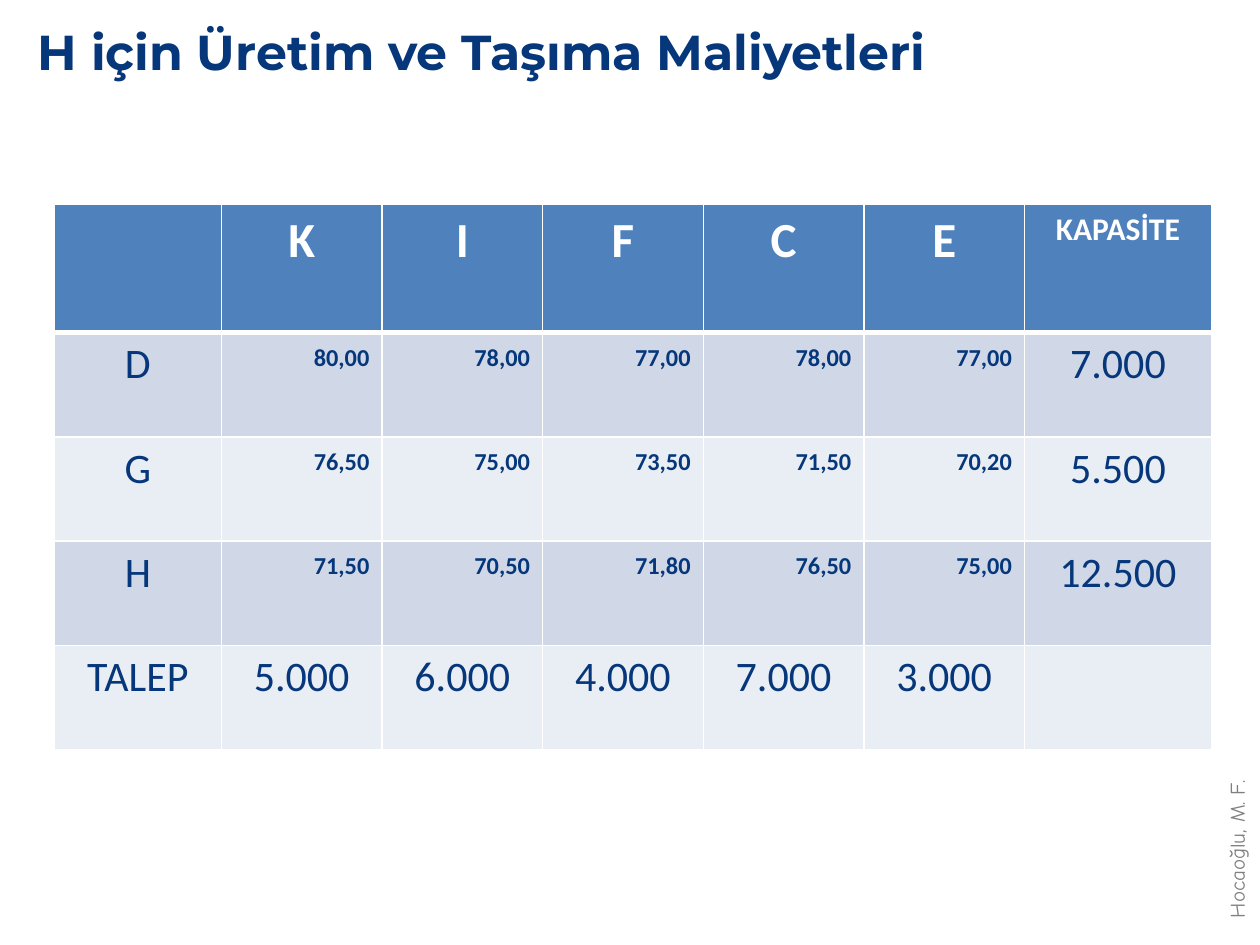
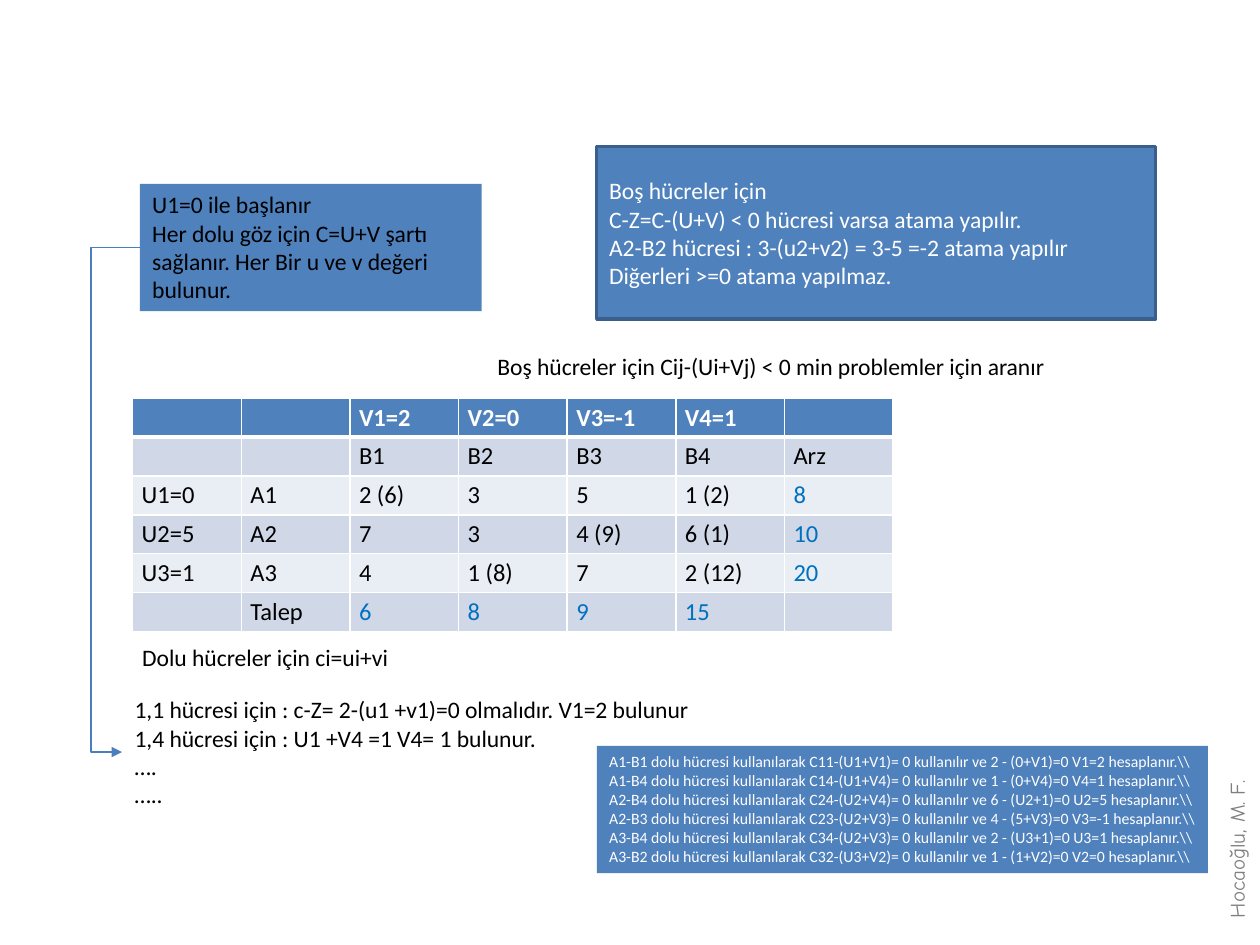
from lxml.etree import SubElement
from pptx import Presentation
from pptx.dml.color import RGBColor
from pptx.enum.shapes import MSO_CONNECTOR, MSO_SHAPE
from pptx.enum.text import MSO_ANCHOR, MSO_AUTO_SIZE, PP_ALIGN
from pptx.oxml.ns import qn
from pptx.util import Pt

NAVY = "06377B"
BLUE = "4F81BD"
DARK_BLUE = "3A5F8C"
LINE_BLUE = "4B7EBC"
TOTAL_BLUE = "0070C0"
BANDS = ("D0D8E8", "E9EDF4")
WHITE = "FFFFFF"
BLACK = "000000"
GREY = "808080"

TITLE_ONLY, BLANK = 5, 6
SIDE_LABEL_BOX = (648, 462.2, 117.4, 21.6)

COST_ROWS = [
    ["", "K", "I", "F", "C", "E", "KAPASİTE"],
    ["D", "80,00", "78,00", "77,00", "78,00", "77,00", "7.000"],
    ["G", "76,50", "75,00", "73,50", "71,50", "70,20", "5.500"],
    ["H", "71,50", "70,50", "71,80", "76,50", "75,00", "12.500"],
    ["TALEP", "5.000", "6.000", "4.000", "7.000", "3.000", ""],
]
ASSIGNMENT_ROWS = [
    ["", "", "V1=2", "V2=0", "V3=-1", "V4=1", ""],
    ["", "", "B1", "B2", "B3", "B4", "Arz"],
    ["U1=0", "A1", "2 (6)", "3", "5", "1 (2)", "8"],
    ["U2=5", "A2", "7", "3", "4 (9)", "6 (1)", "10"],
    ["U3=1", "A3", "4", "1 (8)", "7", "2 (12)", "20"],
    ["", "Talep", "6", "8", "9", "15", ""],
]
START_RULE = [
    "U1=0 ile başlanır",
    "Her dolu göz için C=U+V şartı sağlanır. Her Bir u ve v değeri bulunur.",
]
EMPTY_CELL_RULE = [
    "Boş hücreler için",
    "C-Z=C-(U+V) < 0 hücresi varsa atama yapılır.",
    "A2-B2 hücresi : 3-(u2+v2) = 3-5 =-2 atama yapılır",
    "Diğerleri >=0 atama yapılmaz.",
]
FULL_CELL_STEPS = [
    "1,1 hücresi için : c-Z= 2-(u1 +v1)=0 olmalıdır. V1=2 bulunur",
    "1,4 hücresi için : U1 +V4 =1 V4= 1 bulunur.",
    "….",
    "…..",
]
CALCULATIONS = [
    ("A1-B1", "C11-(U1+V1)", "2 - (0+V1)=0 V1=2"),
    ("A1-B4", "C14-(U1+V4)", "1 - (0+V4)=0 V4=1"),
    ("A2-B4", "C24-(U2+V4)", "6 - (U2+1)=0 U2=5"),
    ("A2-B3", "C23-(U2+V3)", "4 - (5+V3)=0 V3=-1"),
    ("A3-B4", "C34-(U2+V3)", "2 - (U3+1)=0 U3=1"),
    ("A3-B2", "C32-(U3+V2)", "1 - (1+V2)=0 V2=0"),
]


def color(hex_text):
    """Turn a hex string into a colour."""
    return RGBColor.from_string(hex_text)


def points(box):
    """Turn a box of numbers into lengths in points."""
    return [Pt(length) for length in box]


def write_text(frame, lines, size=13.5, font="Calibri", fill=BLACK, bold=False,
               align=PP_ALIGN.LEFT, anchor=MSO_ANCHOR.TOP, raised=False):
    """Fill a text frame with one formatted paragraph per line."""
    frame.vertical_anchor = anchor
    for index, line in enumerate(lines):
        paragraph = frame.paragraphs[0] if index == 0 else frame.add_paragraph()
        paragraph.alignment = align
        if not line:
            SubElement(paragraph._p, qn("a:endParaRPr"), sz=str(int(size * 100)))
            continue
        run = paragraph.add_run()
        run.text = line
        run.font.size = Pt(size)
        run.font.name = font
        run.font.bold = bold
        run.font.color.rgb = color(fill)
        if raised:
            run.font._element.set("baseline", "30000")


def add_label(slide, box, lines, **text_format):
    """Add an unwrapped text box that fits its text."""
    label = slide.shapes.add_textbox(*points(box))
    label.text_frame.word_wrap = False
    label.text_frame.auto_size = MSO_AUTO_SIZE.SHAPE_TO_FIT_TEXT
    write_text(label.text_frame, lines, **text_format)
    return label


def add_panel(slide, box, lines, outline=None, wrap=True, **text_format):
    """Add a blue rectangle with text."""
    panel = slide.shapes.add_shape(MSO_SHAPE.RECTANGLE, *points(box))
    panel.shadow.inherit = False
    panel.fill.solid()
    panel.fill.fore_color.rgb = color(BLUE)
    if outline:
        panel.line.color.rgb = color(outline)
        panel.line.width = Pt(2)
    else:
        panel.line.fill.background()
        panel.text_frame.auto_size = MSO_AUTO_SIZE.SHAPE_TO_FIT_TEXT
    panel.text_frame.word_wrap = wrap
    write_text(panel.text_frame, lines, **text_format)


def add_title(slide, box, text):
    """Place and format the slide title."""
    title = slide.shapes.title
    title.left, title.top, title.width, title.height = points(box)
    title.text_frame.auto_size = MSO_AUTO_SIZE.NONE
    write_text(title.text_frame, [text], size=28, font="Montserrat", fill=NAVY,
               bold=True, anchor=MSO_ANCHOR.MIDDLE)


def add_side_label(slide):
    """Add the author's name, upright at the right edge."""
    label = add_label(slide, SIDE_LABEL_BOX, ["Hocaoğlu, M. F."], size=12,
                      font="Comic Neue", fill=GREY)
    label.rotation = 270


def set_borders(cell, row):
    """Draw white cell borders, thick under the header row."""
    widths = {"L": 1, "R": 1, "T": 3 if row == 1 else 1, "B": 3 if row == 0 else 1}
    properties = cell._tc.get_or_add_tcPr()
    for side, width in widths.items():
        line = SubElement(properties, qn(f"a:ln{side}"), w=str(Pt(width)))
        fill = SubElement(line, qn("a:solidFill"))
        SubElement(fill, qn("a:srgbClr"), val=WHITE)


def add_banded_table(slide, origin, widths, heights, rows, cell_format, margins):
    """Add a table with a blue header and two alternating bands."""
    box = (*origin, sum(widths), sum(heights))
    table = slide.shapes.add_table(len(rows), len(widths), *points(box)).table
    table.first_row = table.horz_banding = False
    for column, width in zip(table.columns, widths):
        column.width = Pt(width)
    for table_row, height in zip(table.rows, heights):
        table_row.height = Pt(height)
    for row, texts in enumerate(rows):
        for column, text in enumerate(texts):
            cell = table.cell(row, column)
            cell.margin_left = cell.margin_right = Pt(margins[0])
            cell.margin_top = cell.margin_bottom = Pt(margins[1])
            set_borders(cell, row)
            cell.fill.solid()
            cell.fill.fore_color.rgb = color(BANDS[(row - 1) % 2] if row else BLUE)
            write_text(cell.text_frame, [text], **cell_format(row, column))


def cost_format(row, column):
    """Give the text format of a cell in the cost table."""
    if row == 0:
        return dict(size=18 if column == 6 else 28, fill=WHITE, bold=True,
                    align=PP_ALIGN.CENTER)
    if row < 4 and 0 < column < 6:
        return dict(size=24, fill=NAVY, bold=True, align=PP_ALIGN.RIGHT, raised=True)
    return dict(size=24, fill=NAVY, align=PP_ALIGN.CENTER)


def assignment_format(row, column):
    """Give the text format of a cell in the assignment table."""
    if row == 0:
        return dict(size=14, fill=WHITE, bold=True)
    is_total = (row > 1 and column == 6) or (row == 5 and column > 1)
    return dict(size=14, fill=TOTAL_BLUE if is_total else BLACK)


def add_elbow_arrow(slide, start, end, bend_x):
    """Add a bent arrow whose upright part stands at bend_x."""
    arrow = slide.shapes.add_connector(MSO_CONNECTOR.ELBOW, *points(start + end))
    arrow.line.color.rgb = color(LINE_BLUE)
    arrow.line.width = Pt(0.75)
    bend = round((bend_x - start[0]) / (end[0] - start[0]) * 100000)
    guides = arrow._element.spPr.find(qn("a:prstGeom")).find(qn("a:avLst"))
    SubElement(guides, qn("a:gd"), name="adj1", fmla=f"val {bend}")
    SubElement(arrow.line._get_or_add_ln(), qn("a:tailEnd"), type="triangle")
    SubElement(arrow._element.spPr, qn("a:effectLst"))


def build_cost_slide(presentation):
    """Build the slide with production and transport costs."""
    slide = presentation.slides.add_slide(presentation.slide_layouts[TITLE_ONLY])
    add_side_label(slide)
    add_banded_table(slide, (31, 116.8), [95.5] + [91.8] * 5 + [106.8],
                     [73.3] + [59.6] * 4, COST_ROWS, cost_format, (7.2, 3.6))
    add_title(slide, (14.4, -2.2, 679, 62.6), "H için Üretim ve Taşıma Maliyetleri")


def build_assignment_slide(presentation):
    """Build the slide that explains the U and V values."""
    slide = presentation.slides.add_slide(presentation.slide_layouts[BLANK])
    add_side_label(slide)
    add_banded_table(slide, (75.8, 227.6), [62.1] * 7, [22.2] * 6,
                     ASSIGNMENT_ROWS, assignment_format, (5.2, 2.6))
    add_label(slide, (277.2, 197.3, 326.9, 23.8),
              ["Boş hücreler için Cij-(Ui+Vj) < 0 min problemler için aranır"])
    add_label(slide, (74.2, 363.6, 155.5, 23.8), ["Dolu hücreler için ci=ui+vi"])
    add_panel(slide, (79.9, 105.1, 195.4, 72.7), START_RULE)
    add_panel(slide, (341, 83.8, 319.3, 98.6), EMPTY_CELL_RULE, outline=DARK_BLUE,
              fill=WHITE, anchor=MSO_ANCHOR.MIDDLE)
    add_label(slide, (69.8, 393.8, 331.9, 72.7), FULL_CELL_STEPS)
    add_elbow_arrow(slide, (79.9, 141.4), (69.8, 429.8), 52)
    lines = [f"{cell} dolu hücresi kullanılarak {cost}= 0 kullanılır ve {result} hesaplanır.\\\\"
             for cell, cost, result in CALCULATIONS]
    add_panel(slide, (341, 426.2, 349.2, 72.7), lines, wrap=False, size=9, fill=WHITE)


def main():
    """Build and save the presentation."""
    presentation = Presentation()
    presentation.slide_width, presentation.slide_height = Pt(720), Pt(540)
    build_cost_slide(presentation)
    build_assignment_slide(presentation)
    presentation.save("out.pptx")


if __name__ == "__main__":
    main()
